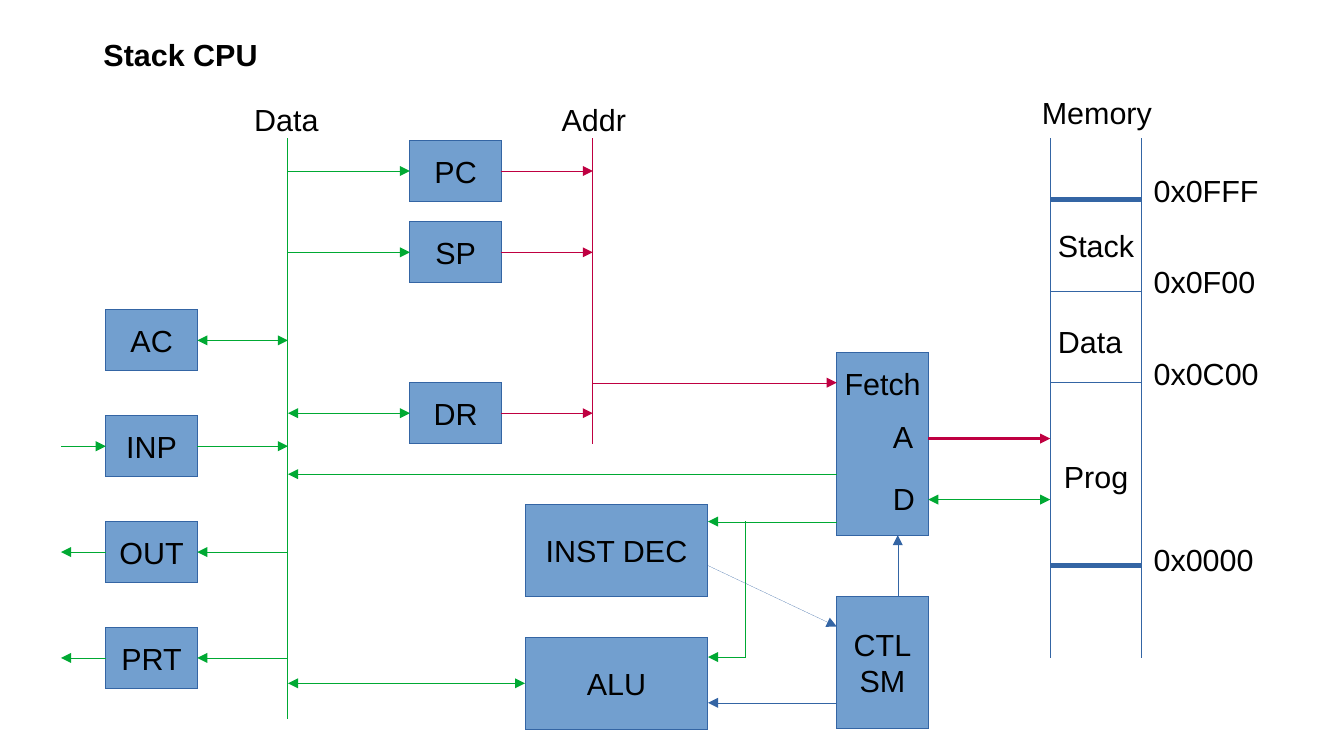
"""Draw the block diagram of a stack CPU with its buses, registers and memory map."""
from lxml.etree import SubElement
from pptx import Presentation
from pptx.dml.color import RGBColor
from pptx.enum.shapes import MSO_CONNECTOR, MSO_SHAPE
from pptx.enum.text import MSO_ANCHOR, MSO_AUTO_SIZE, PP_ALIGN
from pptx.oxml.ns import qn
from pptx.util import Pt

GREEN, RED, BLUE, FILL, BLACK = "00A933", "BF0041", "3465A4", "729FCF", "000000"
HAIRLINE = 0.01
color = RGBColor.from_string

INPUT_X, DATA_X, ADDR_X = 36, 170, 350
PORT_X, REGISTER_X, UNIT_X, CONTROL_X = 62.5, 242, 310, 494
MEMORY_LEFT, MEMORY_RIGHT = 620, 674
BOX_WIDTH, BOX_HEIGHT, UNIT_WIDTH, UNIT_HEIGHT = 54, 36, 108, 54
UNIT_RIGHT, CONTROL_RIGHT = UNIT_X + UNIT_WIDTH, CONTROL_X + BOX_WIDTH
BRANCH_X = 440

deck = Presentation()
deck.slide_width, deck.slide_height = Pt(793.44), Pt(446.4)
page = deck.slides.add_slide(deck.slide_layouts[6])


def add_line(line_color, x1, y1, x2, y2, arrows="", width=HAIRLINE):
    """Add a line; arrows may name "head" (start) and "tail" (end)."""
    line = page.shapes.add_connector(MSO_CONNECTOR.STRAIGHT, Pt(x1), Pt(y1), Pt(x2), Pt(y2))
    line.line.color.rgb = color(line_color)
    line.line.width = Pt(width)
    properties = line._element.spPr
    for end in arrows.split():
        SubElement(properties.find(qn("a:ln")), qn(f"a:{end}End"), type="triangle")
    SubElement(properties, qn("a:effectLst"))
    return line


def set_text(frame, text, bold=False, align=PP_ALIGN.LEFT):
    """Write the text in the common font."""
    frame.text = text
    for para in frame.paragraphs:
        para.alignment = align
        para.font.name, para.font.size, para.font.bold = "Arial", Pt(18), bold
        para.font.color.rgb = color(BLACK)


for bus_color, x, top, bottom in [
    (BLUE, MEMORY_LEFT, 82, 388),
    (BLUE, MEMORY_RIGHT, 82, 388),
    (GREEN, DATA_X, 82, 424),
    (RED, ADDR_X, 82, 262),
]:
    add_line(bus_color, x, top, x, bottom)

for y, width in [(118, 2.89), (172, HAIRLINE), (226, HAIRLINE), (334, 2.89)]:
    add_line(BLUE, MEMORY_LEFT, y, MEMORY_RIGHT, y, width=width)

boxes = {}
for name, left, top, width, height in [
    ("Fetch", CONTROL_X, 208, BOX_WIDTH, 108),
    ("CTL\nSM", CONTROL_X, 352, BOX_WIDTH, 78),
    ("INST DEC", UNIT_X, 298, UNIT_WIDTH, UNIT_HEIGHT),
    ("ALU", UNIT_X, 376.5, UNIT_WIDTH, UNIT_HEIGHT),
    ("PC", REGISTER_X, 83, BOX_WIDTH, BOX_HEIGHT),
    ("SP", REGISTER_X, 131, BOX_WIDTH, BOX_HEIGHT),
    ("DR", REGISTER_X, 226, BOX_WIDTH, BOX_HEIGHT),
    *[(port, PORT_X, 183 + 62.5 * row, BOX_WIDTH, BOX_HEIGHT)
      for row, port in enumerate(["AC", "INP", "OUT", "PRT"])],
]:
    box = page.shapes.add_shape(MSO_SHAPE.RECTANGLE, Pt(left), Pt(top), Pt(width), Pt(height))
    box.shadow.inherit = False
    box.fill.solid()
    box.fill.fore_color.rgb = color(FILL)
    box.line.color.rgb = color(BLUE)
    box.line.width = Pt(HAIRLINE)
    box.text_frame.vertical_anchor = MSO_ANCHOR.MIDDLE
    if name != "Fetch":
        set_text(box.text_frame, name, align=PP_ALIGN.CENTER)
    boxes[name] = box

for name, side, line_color, bus_x, arrows in [
    ("PC", 1, GREEN, DATA_X, "head"),
    ("SP", 1, GREEN, DATA_X, "head"),
    ("DR", 1, GREEN, DATA_X, "head tail"),
    ("ALU", 1, GREEN, DATA_X, "head tail"),
    ("PC", 3, RED, ADDR_X, "tail"),
    ("SP", 3, RED, ADDR_X, "tail"),
    ("DR", 3, RED, ADDR_X, "tail"),
    ("AC", 3, GREEN, DATA_X, "head tail"),
    ("INP", 3, GREEN, DATA_X, "tail"),
    ("OUT", 3, GREEN, DATA_X, "head"),
    ("PRT", 3, GREEN, DATA_X, "head"),
    ("INP", 1, GREEN, INPUT_X, "head"),
    ("OUT", 1, GREEN, INPUT_X, "tail"),
    ("PRT", 1, GREEN, INPUT_X, "tail"),
]:
    box = boxes[name]
    middle = (box.top + box.height / 2) / Pt(1)
    edge = (box.left + (box.width if side == 3 else 0)) / Pt(1)
    add_line(line_color, edge, middle, bus_x, middle, arrows).begin_connect(box, side)

add_line(RED, CONTROL_RIGHT, 259, MEMORY_LEFT, 259, "tail", 1.45)
for line_color, x1, y1, x2, y2, arrows in [
    (GREEN, CONTROL_RIGHT, 295, MEMORY_LEFT, 295, "head tail"),
    (RED, ADDR_X, 226, CONTROL_X, 226, "tail"),
    (GREEN, DATA_X, 280, CONTROL_X, 280, "head"),
    (GREEN, CONTROL_X, 308, UNIT_RIGHT, 308, "tail"),
    (GREEN, BRANCH_X, 308, BRANCH_X, 388, ""),
    (GREEN, BRANCH_X, 388, UNIT_RIGHT, 388, "tail"),
    (BLUE, CONTROL_X, 415, UNIT_RIGHT, 415, "tail"),
    (BLUE, UNIT_RIGHT, 334, CONTROL_X, 370, "tail"),
    (BLUE, 530, 352, 530, 316, "tail"),
]:
    add_line(line_color, x1, y1, x2, y2, arrows)

for text, left, top, width in [
    ("Stack CPU", 54, 18, 109),
    ("Data", 143, 56, 56),
    ("Addr", 324.5, 56, 56),
    ("Memory", 608, 52, 83),
    ("Stack", 617.5, 130.5, 63),
    ("Data", 617.5, 187, 56),
    ("Prog", 621, 267, 56),
    ("Fetch", 491.5, 212, 63),
    ("A", 520, 243.5, 28),
    ("D", 520, 280, 29),
    ("0x0FFF", MEMORY_RIGHT, 98, 80),
    ("0x0F00", MEMORY_RIGHT, 152, 80),
    ("0x0C00", MEMORY_RIGHT, 206, 80),
    ("0x0000", MEMORY_RIGHT, 316, 80),
]:
    label = page.shapes.add_textbox(Pt(left), Pt(top), Pt(width), Pt(27.5))
    label.text_frame.word_wrap = False
    label.text_frame.auto_size = MSO_AUTO_SIZE.SHAPE_TO_FIT_TEXT
    set_text(label.text_frame, text, bold=text == "Stack CPU")

deck.save("out.pptx")
